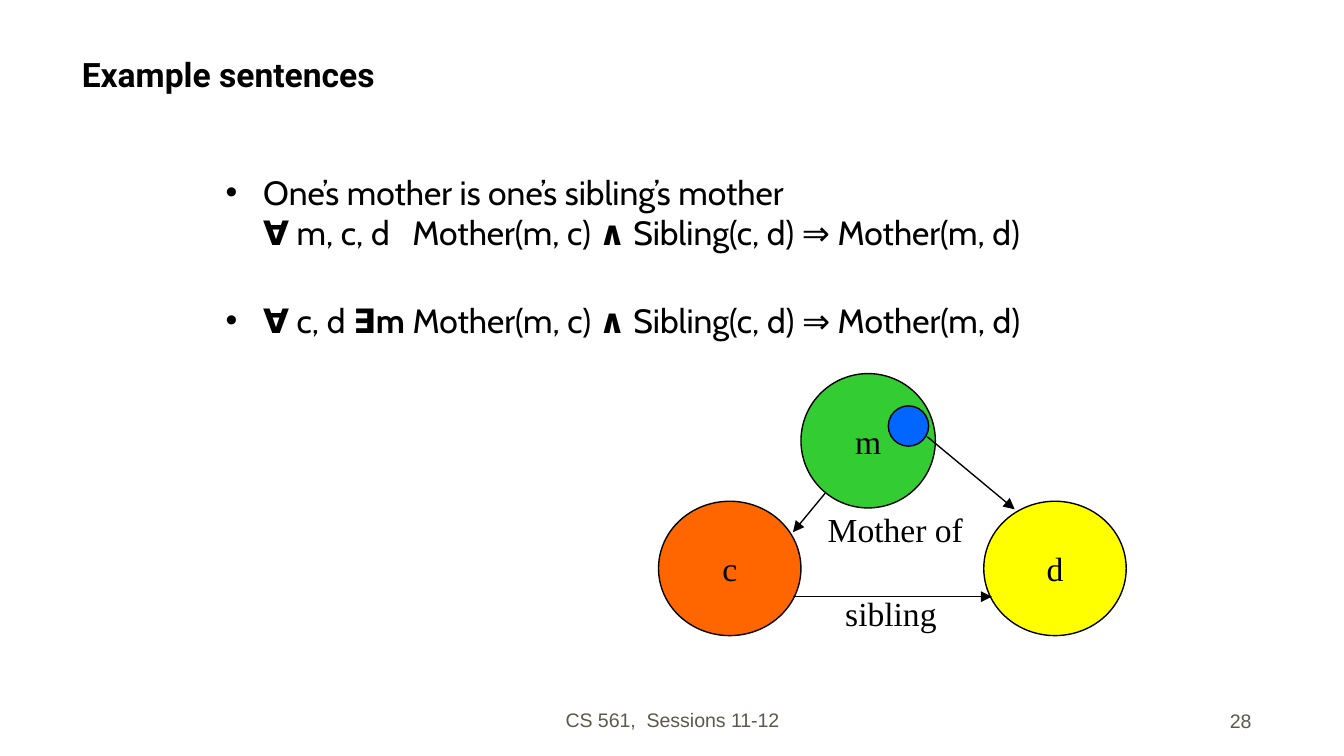
from typing import NamedTuple

from lxml import etree
from pptx import Presentation
from pptx import util as u
from pptx.dml.color import RGBColor
from pptx.enum import shapes, text
from pptx.oxml.ns import qn

COLORS = {
    "black": "000000", "footer": "5E574E", "orange": "FF6600",
    "yellow": "FFFF00", "green": "33CC33", "blue": "0066FF",
}
LEFT, CENTER, RIGHT = text.PP_ALIGN.LEFT, text.PP_ALIGN.CENTER, text.PP_ALIGN.RIGHT
TOP, BOTTOM = text.MSO_ANCHOR.TOP, text.MSO_ANCHOR.BOTTOM


class Label(NamedTuple):
    words: str
    box: tuple[float, float, float, float]
    font: str
    size: float = 18
    color: str = "black"
    bold: bool = False
    align: text.PP_ALIGN = LEFT
    anchor: text.MSO_ANCHOR = TOP


class Node(NamedTuple):
    name: str
    box: tuple[float, float, float, float]
    color: str


class Arrow(NamedTuple):
    start: tuple[float, float]
    end: tuple[float, float]


class Bullet(NamedTuple):
    lines: list[list[tuple[str, bool]]]  # runs of (words, bold)
    space_before: float = 0


def rgb(name: str) -> RGBColor:
    return RGBColor.from_string(COLORS[name])


def inches(values: tuple[float, ...]) -> list[u.Length]:
    return [u.Inches(v) for v in values]


def set_font(p, name: str, size: float, color: str, bold: bool | None = None) -> None:
    p.font.name, p.font.size, p.font.bold = name, u.Pt(size), bold
    p.font.color.rgb = rgb(color)


def add_label(s, label: Label) -> None:
    tf = s.shapes.add_textbox(*inches(label.box)).text_frame
    tf.word_wrap = True
    tf.vertical_anchor = label.anchor
    p = tf.paragraphs[0]
    p.text, p.alignment = label.words, label.align
    set_font(p, label.font, label.size, label.color, label.bold)


def add_node(s, node: Node) -> None:
    sp = s.shapes.add_shape(shapes.MSO_SHAPE.OVAL, *inches(node.box))
    sp.shadow.inherit = False
    sp.fill.solid()
    sp.fill.fore_color.rgb = rgb(node.color)
    sp.line.color.rgb, sp.line.width = rgb("black"), u.Pt(0.75)
    if node.name:
        tf = sp.text_frame
        tf.vertical_anchor = text.MSO_ANCHOR.MIDDLE
        p = tf.paragraphs[0]
        p.text, p.alignment = node.name, CENTER
        set_font(p, "Times New Roman", 18, "black")


def add_arrow(s, arrow: Arrow) -> None:
    cx = s.shapes.add_connector(
        shapes.MSO_CONNECTOR.STRAIGHT, *inches(arrow.start + arrow.end))
    cx.line.color.rgb, cx.line.width = rgb("black"), u.Pt(0.75)
    etree.SubElement(cx.line._get_or_add_ln(), qn("a:tailEnd"), type="triangle")
    etree.SubElement(cx._element.spPr, qn("a:effectLst"))


def add_bullets(s, box: tuple[float, ...], bullets: list[Bullet]) -> None:
    tf = s.shapes.add_textbox(*inches(box)).text_frame
    tf.word_wrap = True
    for i, bullet in enumerate(bullets):
        p = tf.add_paragraph() if i else tf.paragraphs[0]
        p.space_before = u.Pt(bullet.space_before)
        set_font(p, "Cabin", 18, "black")
        for j, line in enumerate(bullet.lines):
            if j:
                p.add_line_break()
            for words, bold in line:
                r = p.add_run()
                r.text, r.font.bold = words, bold
        # Hanging bullet, placed ahead of the default run properties
        pPr = p._p.get_or_add_pPr()
        pPr.set("marL", str(u.Inches(0.28)))
        pPr.set("indent", str(u.Inches(-0.28)))
        defaults = pPr.find(qn("a:defRPr"))
        color = etree.Element(qn("a:buClr"))
        etree.SubElement(color, qn("a:srgbClr"), val=COLORS["black"])
        defaults.addprevious(color)
        defaults.addprevious(etree.Element(qn("a:buFont"), typeface="Arial"))
        defaults.addprevious(etree.Element(qn("a:buChar"), char="•"))


# Title and footer
LABELS = [
    Label("CS 561,  Sessions 11-12", (3.42, 5.11, 3.17, 0.38), "Arial", 10.5,
          "footer", align=CENTER, anchor=BOTTOM),
    Label("28", (7.33, 5.12, 2.08, 0.38), "Arial", 10.5,
          "footer", align=RIGHT, anchor=BOTTOM),
    Label("Example sentences", (0.51, 0.19, 8.92, 0.56), "Roboto",
          bold=True, anchor=BOTTOM),
]

# Logic sentences
RULE = [("Mother(m, c) ", False), ("∧", True),
        (" Sibling(c, d) ⇒ Mother(m, d)", False)]
BULLETS = [
    Bullet([[("One’s mother is one’s sibling’s mother", False)],
            [("∀", True), (" m, c, d   ", False), *RULE]]),
    Bullet([[("∀", True), (" c, d ", False), ("∃m", True), (" ", False), *RULE]],
           space_before=25.5),
]

# Family diagram
NODES = [
    Node("c", (4.9, 3.73, 1.06, 1), "orange"),
    Node("d", (7.32, 3.73, 1.06, 1), "yellow"),
    Node("m", (5.96, 2.78, 1, 1), "green"),
    Node("", (6.61, 3.02, 0.3, 0.3), "blue"),
]
ARROWS = [
    Arrow((6.14, 3.67), (5.9, 3.96)),
    Arrow((5.9, 4.44), (7.38, 4.44)),
    Arrow((6.9, 3.25), (7.55, 3.79)),
]
RELATIONS = [
    Label("Mother of", (6.06, 3.74, 1.22, 0.4), "Times New Roman"),
    Label("sibling", (6.19, 4.36, 0.89, 0.4), "Times New Roman"),
]


def main() -> None:
    prs = Presentation()
    # Widescreen, 16:9
    prs.slide_width = u.Inches(10)
    prs.slide_height = prs.slide_width * 9 // 16
    s = prs.slides.add_slide(prs.slide_layouts[6])
    for label in LABELS:
        add_label(s, label)
    add_bullets(s, (1.58, 1.23, 6.88, 2.95), BULLETS)
    for node in NODES:
        add_node(s, node)
    for arrow in ARROWS:
        add_arrow(s, arrow)
    for label in RELATIONS:
        add_label(s, label)
    prs.save("out.pptx")


if __name__ == "__main__":
    main()
